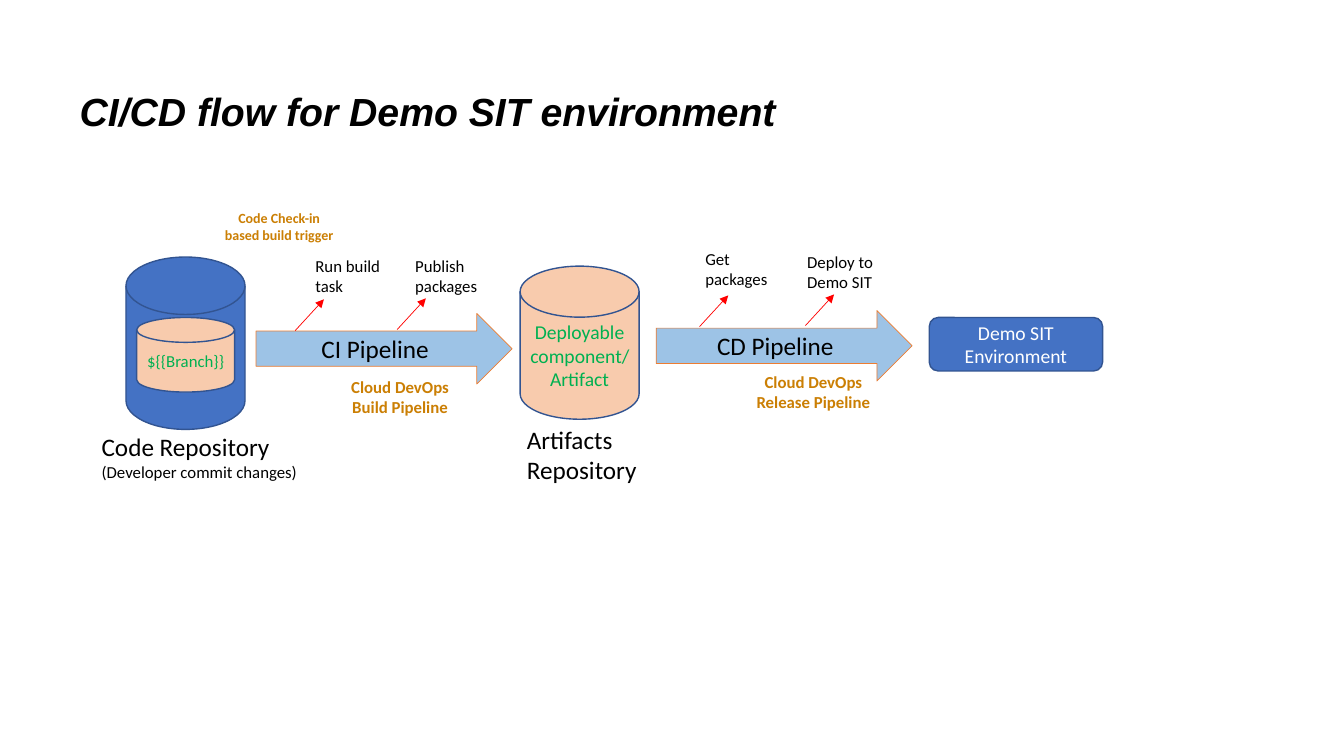
from dataclasses import dataclass

from lxml import etree
from pptx import Presentation
from pptx.dml.color import RGBColor
from pptx.enum.shapes import MSO_CONNECTOR, MSO_SHAPE
from pptx.enum.text import MSO_ANCHOR, MSO_AUTO_SIZE, PP_ALIGN
from pptx.oxml.ns import qn
from pptx.util import Pt

DISK = MSO_SHAPE.FLOWCHART_MAGNETIC_DISK
ARROW = MSO_SHAPE.RIGHT_ARROW
ROUNDED = MSO_SHAPE.ROUNDED_RECTANGLE
STRAIGHT = MSO_CONNECTOR.STRAIGHT
LEFT, CENTER = PP_ALIGN.LEFT, PP_ALIGN.CENTER
TOP, MIDDLE = MSO_ANCHOR.TOP, MSO_ANCHOR.MIDDLE
GROW, FIXED = MSO_AUTO_SIZE.SHAPE_TO_FIT_TEXT, MSO_AUTO_SIZE.NONE


@dataclass(frozen=True)
class Theme:
    font: str = "Calibri"
    title_font: str = "Arial"
    black: str = "000000"
    white: str = "FFFFFF"
    blue: str = "4472C4"
    navy: str = "325491"
    sky: str = "9DC3E6"
    peach: str = "F8CBAD"
    orange: str = "ED7D31"
    amber: str = "CB7F04"
    green: str = "00B050"
    red: str = "FF0000"
    title: int = 28
    heading: int = 18
    label: int = 14
    note: int = 12
    small: int = 10


T = Theme()


def write(sp, lines, color, align=CENTER, anchor=MIDDLE, fit=FIXED, **fonts):
    """Fill a shape with (text, size) lines, one paragraph each."""
    tf = sp.text_frame
    frame = {"word_wrap": True, "auto_size": fit, "vertical_anchor": anchor}
    for name, value in frame.items():
        setattr(tf, name, value)
    for i, (text, size) in enumerate(lines):
        p = tf.add_paragraph() if i else tf.paragraphs[0]
        p.alignment = align
        r = p.add_run()
        r.text = text
        for name, value in {"name": T.font, "size": Pt(size), **fonts}.items():
            setattr(r.font, name, value)
        r.font.color.rgb = RGBColor.from_string(color)


def add_label(s, box, lines, color=T.black, align=LEFT, **fonts):
    sp = s.shapes.add_textbox(*map(Pt, box))
    write(sp, lines, color, align, TOP, GROW, **fonts)


def add_figure(s, kind, box, fill, lines=(), color=T.black, edge=T.navy, weight=1):
    sp = s.shapes.add_shape(kind, *map(Pt, box))
    sp.shadow.inherit = False
    sp.fill.solid()
    sp.fill.fore_color.rgb = RGBColor.from_string(fill)
    sp.line.color.rgb = RGBColor.from_string(edge)
    sp.line.width = Pt(weight)
    write(sp, lines, color)


def add_pointer(s, x, y):
    """Draw a short red arrow from (x, y) up to a step label."""
    line = s.shapes.add_connector(STRAIGHT, Pt(x), Pt(y), Pt(x + 20.5), Pt(y - 22.3))
    line.line.color.rgb = RGBColor.from_string(T.red)
    line.line.width = Pt(0.5)
    ln = line.line._get_or_add_ln()
    etree.SubElement(ln, qn("a:tailEnd"), type="triangle")
    etree.SubElement(line._element.spPr, qn("a:effectLst"))


def add_title(s, box, text):
    sp = s.shapes.title
    for name, value in zip(("left", "top", "width", "height"), box):
        setattr(sp, name, Pt(value))
    write(sp, [(text, T.title)], T.black, LEFT,
          name=T.title_font, bold=True, italic=True)
    sp.text_frame.paragraphs[0].line_spacing = 0.9


def add_code_repository(s, box):
    x, y, w, h = box
    add_figure(s, DISK, box, T.blue)
    add_label(s, (x - 24.5, y + h - 2, 158.4, 44),
              [("Code Repository", T.heading), ("(Developer commit changes)", T.note)])
    add_figure(s, DISK, (x + 7.6, y + 43.2, w - 15, 53.3), T.peach,
               [("${{Branch}}", T.note)], T.green)
    add_label(s, (x + 59, y - 37.4, 100.8, 31.7),
              [("Code Check-in", T.small), ("based build trigger", T.small)],
              T.amber, CENTER, bold=True)


def add_pipeline(s, box, name, steps, pointers, caption, caption_at):
    """Draw a pipeline arrow; all offsets count from its top left corner."""
    x, y, w, h = box
    add_figure(s, ARROW, box, T.sky, [(name, T.heading)], edge=T.orange, weight=0.5)
    for text, dx, dy, width in steps:
        add_label(s, (x + dx, y + dy, width, 36), [(text, T.note)])
    for dx, dy in pointers:
        add_pointer(s, x + dx, y + dy)
    dx, dy = caption_at
    add_label(s, (x + dx, y + dy, 109.4, 36), [(caption, T.note)],
              T.amber, CENTER, bold=True)


def add_artifact_repository(s, box):
    x, y, w, h = box
    add_label(s, (x - 2.2, y + h, 100.8, 51), [("Artifacts Repository", T.heading)])
    add_figure(s, DISK, box, T.peach,
               [("Deployable component/Artifact", T.label)], T.green)


def add_environment(s, box):
    add_figure(s, ROUNDED, box, T.blue,
               [("Demo SIT", T.label), ("Environment", T.label)], T.white)


def main():
    prs = Presentation()
    prs.slide_width, prs.slide_height = Pt(960), Pt(540)
    s = prs.slides.add_slide(prs.slide_layouts[5])
    add_title(s, (49.7, 30.2, 910, 102.2), "CI/CD flow for Demo SIT environment")
    add_code_repository(s, (90, 183.6, 85, 123.1))
    add_pipeline(s, (182.9, 223.9, 182.9, 50.4), "CI Pipeline",
                 [("Run build task", 35.3, -44.6, 66.2),
                  ("Publish packages", 106.6, -44.6, 60.5)],
                 [(28, 12.2), (100.8, 11.5)],
                 "Cloud DevOps Build Pipeline", (48.2, 41.8))
    add_artifact_repository(s, (371.5, 190.1, 85, 109.4))
    add_pipeline(s, (468.7, 221.8, 182.9, 50.4), "CD Pipeline",
                 [("Get packages", 28.1, -47.5, 60.5),
                  ("Deploy to Demo SIT", 100.8, -45.4, 67)],
                 [(31, 11.5), (106.6, 10.8)],
                 "Cloud DevOps Release Pipeline", (57.6, 40.3))
    add_environment(s, (663.8, 226.8, 123.8, 38.2))
    prs.save("out.pptx")


if __name__ == "__main__":
    main()
